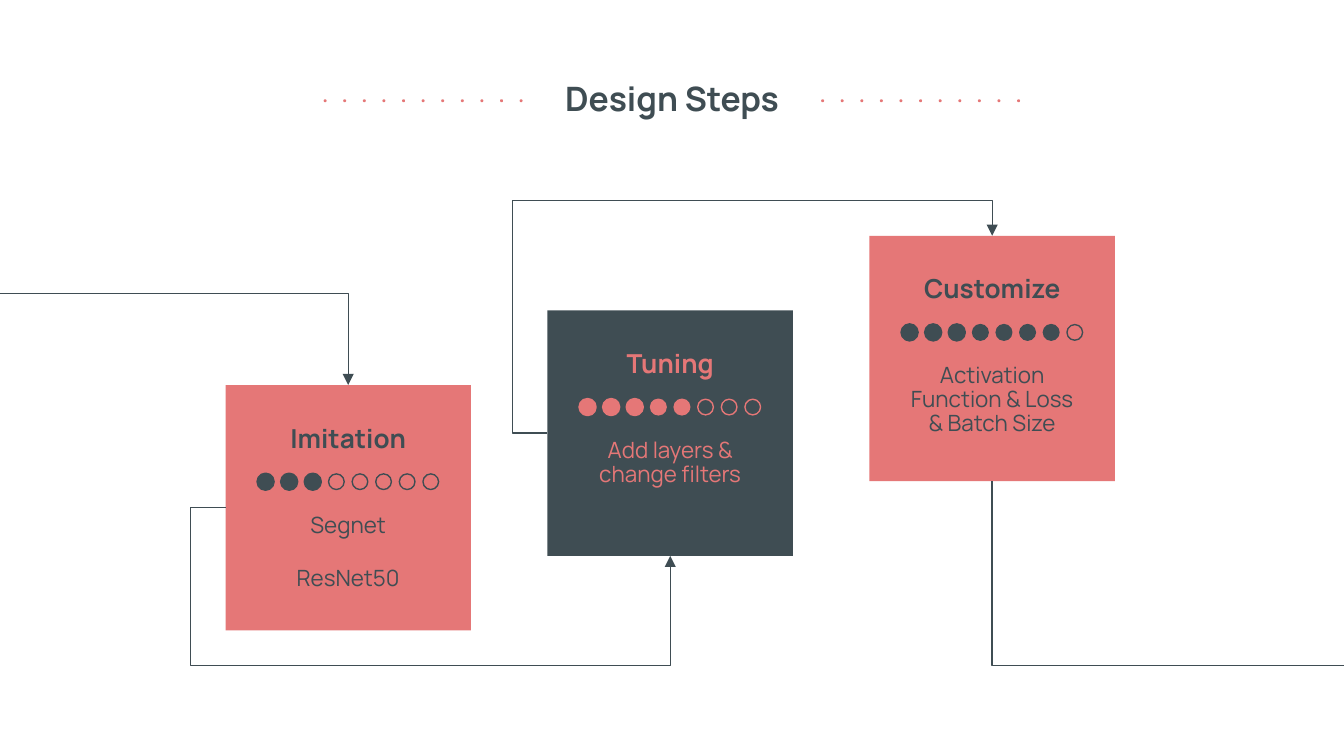
import pptx
import pptx.dml.color
import pptx.enum.shapes
import pptx.enum.text
import pptx.oxml
import pptx.oxml.ns
import pptx.util

Pt = pptx.util.Pt
SHAPE = pptx.enum.shapes.MSO_SHAPE
ANCHOR = pptx.enum.text.MSO_ANCHOR
CENTER = pptx.enum.text.PP_ALIGN.CENTER
NS = pptx.oxml.ns.nsdecls("a")

WIDE, HIGH = 720, 405
CORAL, SLATE = "E57777", "3F4D53"
SIDE = 131.5
GAP = 18.8
TOP, LEFT, BOTTOM = 0, 1, 2  # connection sites of a rectangle

# heading, score, lines of text, card fill, ink
STEPS = [
    ("Imitation", 3, ["Segnet", "ResNet50"], CORAL, SLATE),
    ("Tuning", 5, ["Add layers & change filters"], SLATE, CORAL),
    ("Customize", 7, ["Activation Function & Loss & Batch Size"], CORAL, SLATE),
]


def color(code):
    return pptx.dml.color.RGBColor.from_string(code)


def apply(item, values):
    for name, value in values.items():
        setattr(item, name, value)


def place(item, box):
    apply(item, dict(zip(("left", "top", "width", "height"), map(Pt, box))))


def draw(slide, kind, box, fill=None, line=None, width=0.75):
    shape = slide.shapes.add_shape(kind, *map(Pt, box))
    shape.shadow.inherit = False
    if fill:
        shape.fill.solid()
        shape.fill.fore_color.rgb = color(fill)
    else:
        shape.fill.background()
    if line:
        shape.line.color.rgb = color(line)
        shape.line.width = Pt(width)
    else:
        shape.line.fill.background()
    return shape


def write(shape, lines, ink, font, para=None, anchor=ANCHOR.TOP):
    """Fill a shape with centred paragraphs in one format."""
    frame = shape.text_frame
    inset = Pt(7.2)
    apply(frame, {
        "word_wrap": True,
        "auto_size": pptx.enum.text.MSO_AUTO_SIZE.NONE,
        "vertical_anchor": anchor,
        "margin_left": inset, "margin_right": inset,
        "margin_top": inset, "margin_bottom": inset,
    })
    frame.text = "\n".join(lines)
    for part in frame.paragraphs:
        apply(part, {"alignment": CENTER, "space_before": Pt(0), **(para or {})})
        for run in part.runs:
            apply(run.font, {"name": "Manrope", **font})
            run.font.color.rgb = color(ink)


def header(slide, box):
    """Title with a dotted rule on both sides."""
    left, top, wide, high = box
    title = slide.shapes.title
    place(title, box)
    write(title, ["Design Steps"], SLATE, {"size": Pt(18), "bold": True})
    size, step, count = 1.6, 10.5, 11
    for start in (left + 39.4, left + 305.9):
        for i in range(count):
            dot = (start + i * step, top + 18.6, size, size)
            draw(slide, SHAPE.OVAL, dot, CORAL)


def rating(slide, box, score, ink):
    """Row of eight circles, as many filled as the score."""
    left, top, wide, size = box
    count = 8
    step = (wide - size) / (count - 1)
    for i in range(count):
        dot = (left + i * step, top, size, size)
        draw(slide, SHAPE.OVAL, dot, ink if i < score else None, ink,
             1.5 if i < min(score, 3) else 0.75)


def card(slide, box, step):
    name, score, lines, fill, ink = step
    left, top, wide, high = box
    base = draw(slide, SHAPE.RECTANGLE, box, fill)
    head = slide.shapes.add_textbox(0, 0, 0, 0)
    place(head, (left + 11, top + 14.5, wide - 22, 27.4))
    write(head, [name], ink, {"size": Pt(14), "bold": True}, anchor=ANCHOR.MIDDLE)
    body = slide.shapes.add_textbox(0, 0, 0, 0)
    place(body, (left + 12.8, top + 62, wide - 25.6, 49))
    write(body, lines, ink, {"size": Pt(12)},
          {"space_after": Pt(16), "line_spacing": 0.88})
    rating(slide, (left + 17.3, top + 47.6, wide - 34.6, 8.4), score, ink)
    return base


def elbow(slide, start, end, kind, bends=(), arrow=True):
    """Bent line; bends are shares of its width and height."""
    link = slide.shapes.add_connector(
        pptx.enum.shapes.MSO_CONNECTOR.ELBOW, *map(Pt, (*start, *end)))
    link.line.color.rgb = color(SLATE)
    link.line.width = Pt(0.75)
    props = link._element.spPr
    geom = props.find(pptx.oxml.ns.qn("a:prstGeom"))
    geom.set("prst", kind)
    guides = "".join(
        f'<a:gd name="adj{i}" fmla="val {round(bend * 100000)}"/>'
        for i, bend in enumerate(bends, 1))
    for old in list(geom):
        geom.remove(old)
    geom.append(pptx.oxml.parse_xml(f"<a:avLst {NS}>{guides}</a:avLst>"))
    if arrow:
        link.line._get_or_add_ln().append(
            pptx.oxml.parse_xml(f'<a:tailEnd {NS} type="triangle"/>'))
    props.append(pptx.oxml.parse_xml(f"<a:effectLst {NS}/>"))
    return link


def join(slide, first, last, start, end, turn, site):
    """Leave a card on its left, pass level turn and enter the next card."""
    bends = (-GAP / (end[0] - start[0]), (turn - start[1]) / (end[1] - start[1]))
    link = elbow(slide, start, end, "bentConnector4", bends)
    link.begin_connect(first, LEFT)
    link.end_connect(last, site)


def flow(slide, box):
    """Cards rising from left to right, linked across the slide."""
    left, top, wide, high = box
    across = (wide - SIDE) / (len(STEPS) - 1)
    rise = (high - SIDE) / (len(STEPS) - 1)
    spots = [(left + i * across, top + high - SIDE - i * rise)
             for i in range(len(STEPS))]
    bases = [card(slide, (*spot, SIDE, SIDE), step)
             for spot, step in zip(spots, STEPS)]
    mids = [x + SIDE / 2 for x, y in spots]
    tops = [y for x, y in spots]
    low, peak = top + high + GAP, top - GAP

    join(slide, bases[0], bases[1], (spots[0][0], tops[0] + SIDE / 2),
         (mids[1], tops[1] + SIDE), low, BOTTOM)
    join(slide, bases[1], bases[2], (spots[1][0], tops[1] + SIDE / 2),
         (mids[2], tops[2]), peak, TOP)
    enter = elbow(slide, (0, 157.2), (mids[0], tops[0]), "bentConnector2")
    enter.end_connect(bases[0], TOP)
    leave = elbow(slide, (WIDE, low), (mids[2], tops[2] + SIDE),
                  "bentConnector2", arrow=False)
    leave.end_connect(bases[2], BOTTOM)


def main():
    deck = pptx.Presentation()
    apply(deck, {"slide_width": Pt(WIDE), "slide_height": Pt(HIGH)})
    slide = deck.slides.add_slide(deck.slide_layouts[5])
    header(slide, (134, 34.6, 452, 45))
    flow(slide, (120.8, 126.3, 476.5, 211.5))
    deck.save("out.pptx")


if __name__ == "__main__":
    main()
